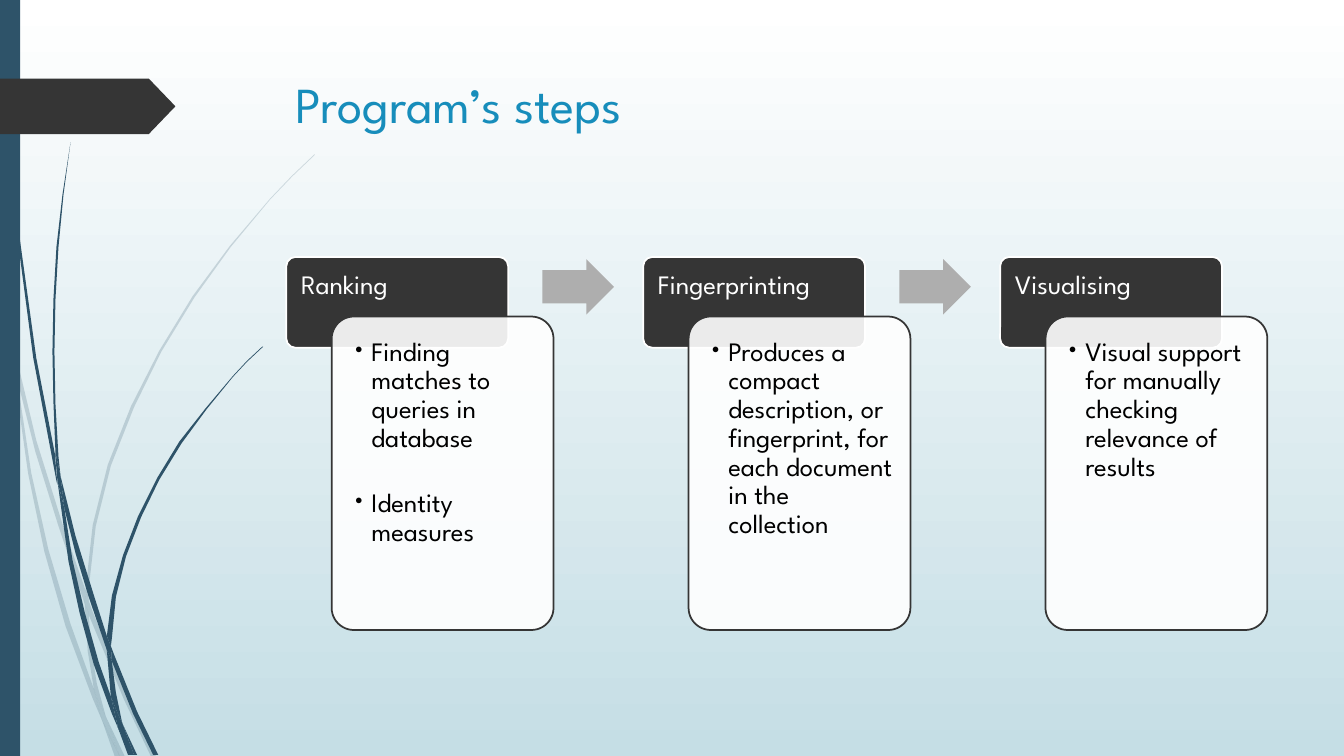
from lxml import etree
from pptx import Presentation
from pptx.dml.color import RGBColor
from pptx.enum.shapes import MSO_SHAPE
from pptx.enum.text import MSO_ANCHOR, PP_ALIGN
from pptx.oxml.ns import qn
from pptx.util import Inches, Pt

RECTANGLE, PENTAGON = MSO_SHAPE.RECTANGLE, MSO_SHAPE.PENTAGON
ROUNDED, ARROW = MSO_SHAPE.ROUNDED_RECTANGLE, MSO_SHAPE.RIGHT_ARROW
TOP, LEFT = MSO_ANCHOR.TOP, PP_ALIGN.LEFT
WHITE = RGBColor(0xFF, 0xFF, 0xFF)
BLACK = RGBColor(0x00, 0x00, 0x00)
MIST = RGBColor(0xC5, 0xDE, 0xE5)
NAVY = RGBColor(0x2E, 0x53, 0x69)
CHARCOAL = RGBColor(0x35, 0x35, 0x35)
GREY = RGBColor(0xAE, 0xAE, 0xAE)
BLUE = RGBColor(0x17, 0x8D, 0xBB)
FONT = "League Spartan"

# Grid of the three steps, in inches
FIRST_COLUMN, COLUMN_PITCH = 2.84, 3.54
BOX_WIDTH = 2.2
HEADER_TOP, HEADER_HEIGHT = 2.55, 0.9
CARD_SHIFT, CARD_TOP, CARD_HEIGHT = 0.45, 3.14, 3.11
ARROW_SHIFT, ARROW_TOP, ARROW_WIDTH, ARROW_HEIGHT = 2.54, 2.57, 0.71, 0.55

STEPS = [
    ("Ranking", ["Finding matches to queries in database", "Identity measures"]),
    ("Fingerprinting", ["Produces a compact description, or fingerprint, "
                        "for each document in the collection"]),
    ("Visualising", ["Visual support for manually checking relevance of results"]),
]

# Corners of the pieces of each grass blade, in inches
PALE_BLADES = [
    [(0.11, 3.5), (0.09, 3.22), (0, 2.82), (0, 2.99), (0.1, 3.44)],
    [(0.58, 5.22), (0.84, 5.99), (0.85, 5.86), (0.62, 5.2), (0.36, 4.37),
     (0.14, 3.45), (0.17, 3.76), (0.35, 4.48)],
    [(0.92, 6.07), (0.88, 5.96), (0.88, 6.1), (1.23, 6.94), (1.5, 7.51),
     (1.55, 7.51), (1.27, 6.92)],
    [(1.19, 7.51), (1.24, 7.51), (1.05, 7.11)],
    [(0.93, 6.83), (0.7, 6.19), (0.48, 5.45), (0.31, 4.69), (0.17, 3.76), (0.11, 3.5),
     (0.28, 4.7), (0.44, 5.47), (0.65, 6.21), (0.92, 6.93), (1.01, 7.14), (0.99, 7.07)],
    [(0.84, 5.99), (0.87, 6.46), (0.93, 6.83), (0.96, 6.92), (1.05, 7.11),
     (0.96, 6.78), (0.91, 6.46), (0.88, 6.1), (0.88, 6.08)],
    [(0.88, 5.84), (0.95, 5.22), (1.1, 4.62), (1.33, 4.04), (1.6, 3.49), (1.93, 2.95),
     (2.29, 2.45), (2.68, 1.98), (2.9, 1.75), (3.12, 1.54), (3.12, 1.53), (2.89, 1.75),
     (2.68, 1.97), (2.28, 2.44), (1.91, 2.94), (1.58, 3.48), (1.3, 4.03), (1.07, 4.61),
     (0.92, 5.21), (0.85, 5.84), (0.85, 5.86), (0.88, 5.96)],
    [(1.01, 7.14), (1.14, 7.51), (1.19, 7.51)],
    [(0.88, 6.08), (0.88, 6.1), (0.88, 5.96), (0.85, 5.86), (0.84, 5.99)],
    [(0.96, 6.92), (0.93, 6.83), (0.99, 7.07), (1.01, 7.14), (1.19, 7.51), (1.05, 7.11)],
]
DARK_BLADES = [
    [(0.07, 1.1), (0.17, 2.33), (0.33, 3.55), (0.56, 4.77), (0.57, 4.81), (0.55, 4.57),
     (0.55, 4.53), (0.36, 3.55), (0.19, 2.32), (0.08, 1.09), (0.05, 0.48), (0.04, 0),
     (0.03, 0), (0.04, 0.48)],
    [(0.88, 5.92), (1.06, 6.45), (1.06, 6.33), (1.06, 6.31), (0.93, 5.9), (0.75, 5.32),
     (0.6, 4.72), (0.64, 5.05), (0.75, 5.49)],
    [(1.13, 6.49), (1.1, 6.41), (1.11, 6.56), (1.32, 7.08), (1.52, 7.49), (1.57, 7.49),
     (1.36, 7.06)],
    [(1.1, 6.91), (0.98, 6.57), (0.84, 6.07), (0.72, 5.56), (0.64, 5.05), (0.57, 4.77),
     (0.68, 5.57), (0.79, 6.08), (0.93, 6.59), (1.11, 7.08), (1.17, 7.22), (1.16, 7.17)],
    [(0.6, 4.72), (0.58, 4.53), (0.55, 4.01), (0.54, 3.49), (0.55, 2.97), (0.58, 2.45),
     (0.63, 1.93), (0.7, 1.41), (0.62, 1.93), (0.56, 2.45), (0.53, 2.97), (0.52, 3.49),
     (0.53, 3.99), (0.55, 4.49)],
    [(1.33, 7.49), (1.36, 7.49), (1.22, 7.19)],
    [(0.57, 4.77), (0.64, 5.05), (0.6, 4.72), (0.55, 4.49), (0.55, 4.53)],
    [(1.11, 6.33), (1.15, 5.92), (1.25, 5.52), (1.4, 5.13), (1.58, 4.76), (1.8, 4.4),
     (2.05, 4.06), (2.31, 3.74), (2.45, 3.59), (2.61, 3.44), (2.6, 3.44), (2.45, 3.58),
     (2.31, 3.73), (2.04, 4.05), (1.78, 4.38), (1.56, 4.74), (1.37, 5.12), (1.22, 5.51),
     (1.11, 5.91), (1.06, 6.31), (1.1, 6.41)],
    [(1.17, 7.22), (1.27, 7.49), (1.31, 7.49)],
    [(1.06, 6.45), (1.1, 6.91), (1.16, 7.06), (1.22, 7.19), (1.21, 7.16), (1.15, 6.87),
     (1.11, 6.56), (1.09, 6.51)],
    [(1.06, 6.45), (1.09, 6.51), (1.11, 6.56), (1.1, 6.41), (1.06, 6.31), (1.06, 6.33)],
    [(1.16, 7.06), (1.1, 6.91), (1.16, 7.17), (1.17, 7.22), (1.3, 7.49), (1.33, 7.49),
     (1.22, 7.19)],
]


def paint(shape, color, opacity=100, line=None):
    """Give a shape a flat fill, an optional outline and no shadow."""
    shape.shadow.inherit = False
    shape.fill.solid()
    shape.fill.fore_color.rgb = color
    if opacity < 100:
        rgb = shape._element.spPr.find(qn("a:solidFill")).find(qn("a:srgbClr"))
        etree.SubElement(rgb, qn("a:alpha")).set("val", str(opacity * 1000))
    if line is None:
        shape.line.fill.background()
    else:
        shape.line.color.rgb = line
        shape.line.width = Pt(1.25)


def write(shape, lines, size, color, inset):
    """Write top-left text lines into a shape and format their runs."""
    frame = shape.text_frame
    frame.word_wrap = True
    frame.vertical_anchor = TOP
    frame.margin_left = frame.margin_right = Inches(inset)
    frame.margin_top = frame.margin_bottom = Inches(inset)
    frame.text = "\n".join(lines)
    for paragraph in frame.paragraphs:
        paragraph.alignment = LEFT
        paragraph.line_spacing = 0.9
        font = paragraph.runs[0].font
        font.name, font.size, font.color.rgb = FONT, Pt(size), color


presentation = Presentation()
presentation.slide_width, presentation.slide_height = Inches(13.33), Inches(7.5)
slide = presentation.slides.add_slide(presentation.slide_layouts[5])
shapes = slide.shapes

background = slide.background.fill
background.gradient()
background.gradient_angle = 270
for stop, color, position in zip(background.gradient_stops, (WHITE, MIST), (0, 1)):
    stop.color.rgb = color
    stop.position = position

for opacity, pieces in ((20, PALE_BLADES), (100, DARK_BLADES)):
    for piece in pieces:
        corners = [(Inches(x), Inches(y)) for x, y in piece]
        builder = shapes.build_freeform(*corners[0])
        builder.add_line_segments(corners[1:], close=True)
        paint(builder.convert_to_shape(), NAVY, opacity)

side_bar = shapes.add_shape(RECTANGLE, 0, 0, Inches(0.2), presentation.slide_height)
paint(side_bar, NAVY)
banner = shapes.add_shape(PENTAGON, 0, Inches(0.78), Inches(1.74), Inches(0.55))
banner.adjustments[0] = 0.48
paint(banner, CHARCOAL)

title = shapes.title
title.left, title.top = Inches(FIRST_COLUMN), Inches(0.68)
title.width, title.height = Inches(9.75), Inches(1.4)
write(title, ["Program’s steps"], 36, BLUE, 0.09)
title.text_frame.margin_top = Inches(0.05)
title.text_frame.paragraphs[0].line_spacing = 1.0

for column, (heading, points) in enumerate(STEPS):
    left = FIRST_COLUMN + column * COLUMN_PITCH
    header = shapes.add_shape(ROUNDED, Inches(left), Inches(HEADER_TOP),
                              Inches(BOX_WIDTH), Inches(HEADER_HEIGHT))
    header.adjustments[0] = 0.1
    paint(header, CHARCOAL, line=WHITE)
    write(header, [heading], 19, WHITE, 0.12)

    card = shapes.add_shape(ROUNDED, Inches(left + CARD_SHIFT), Inches(CARD_TOP),
                            Inches(BOX_WIDTH), Inches(CARD_HEIGHT))
    card.adjustments[0] = 0.1
    paint(card, WHITE, 90, CHARCOAL)
    write(card, points, 19, BLACK, 0.15)
    card.text_frame.margin_left = Inches(0.14)
    card.text_frame.margin_right = Inches(0.1)
    for index, paragraph in enumerate(card.text_frame.paragraphs):
        if index:
            paragraph.space_before = Pt(26)
        properties = paragraph._p.get_or_add_pPr()
        properties.set("marL", str(Inches(0.19)))
        properties.set("indent", str(-Inches(0.19)))
        etree.SubElement(properties, qn("a:buFont")).set("typeface", FONT)
        etree.SubElement(properties, qn("a:buChar")).set("char", "•")

    if column < len(STEPS) - 1:
        arrow = shapes.add_shape(ARROW, Inches(left + ARROW_SHIFT), Inches(ARROW_TOP),
                                 Inches(ARROW_WIDTH), Inches(ARROW_HEIGHT))
        arrow.adjustments[0] = 0.6
        paint(arrow, GREY)

presentation.save("out.pptx")
